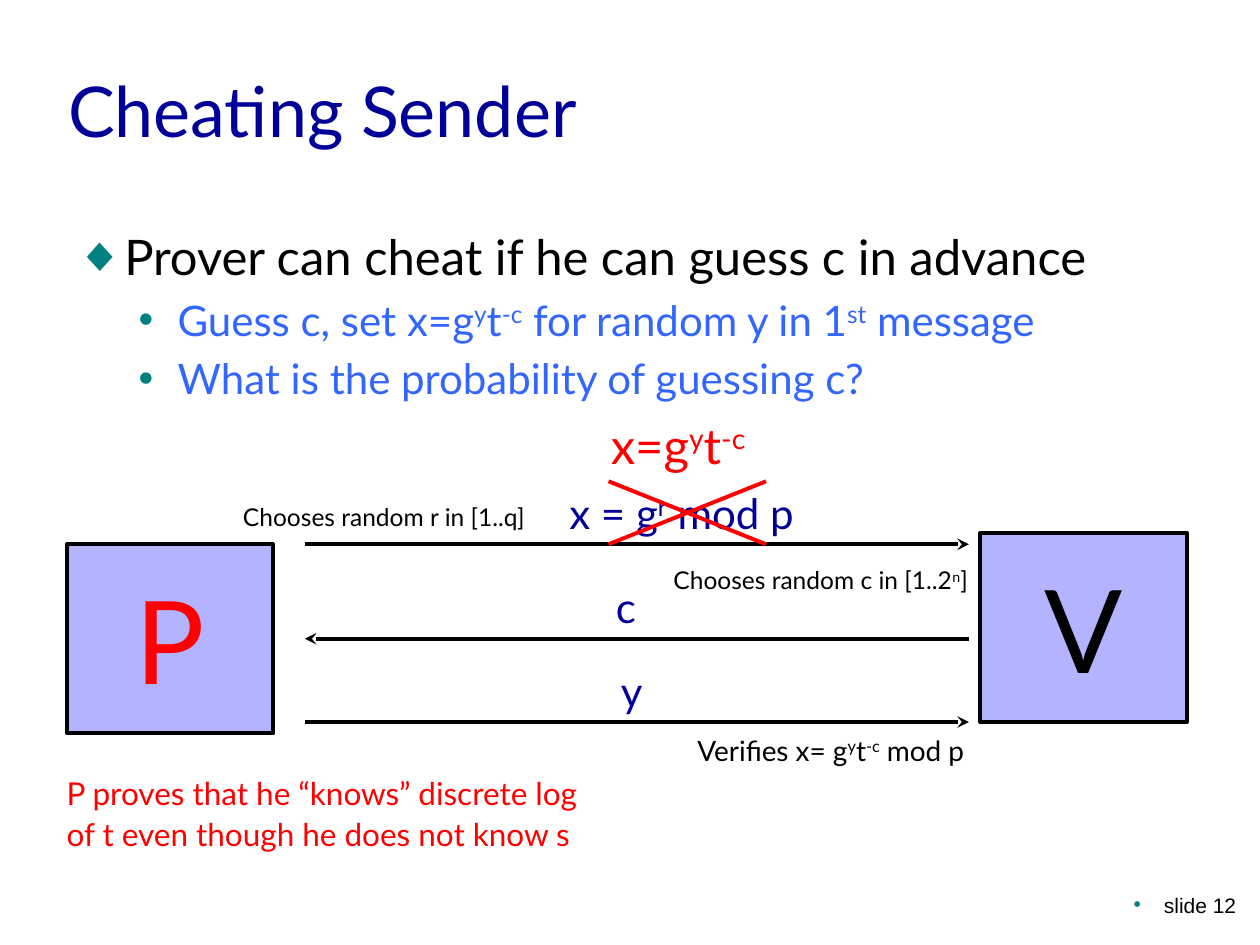
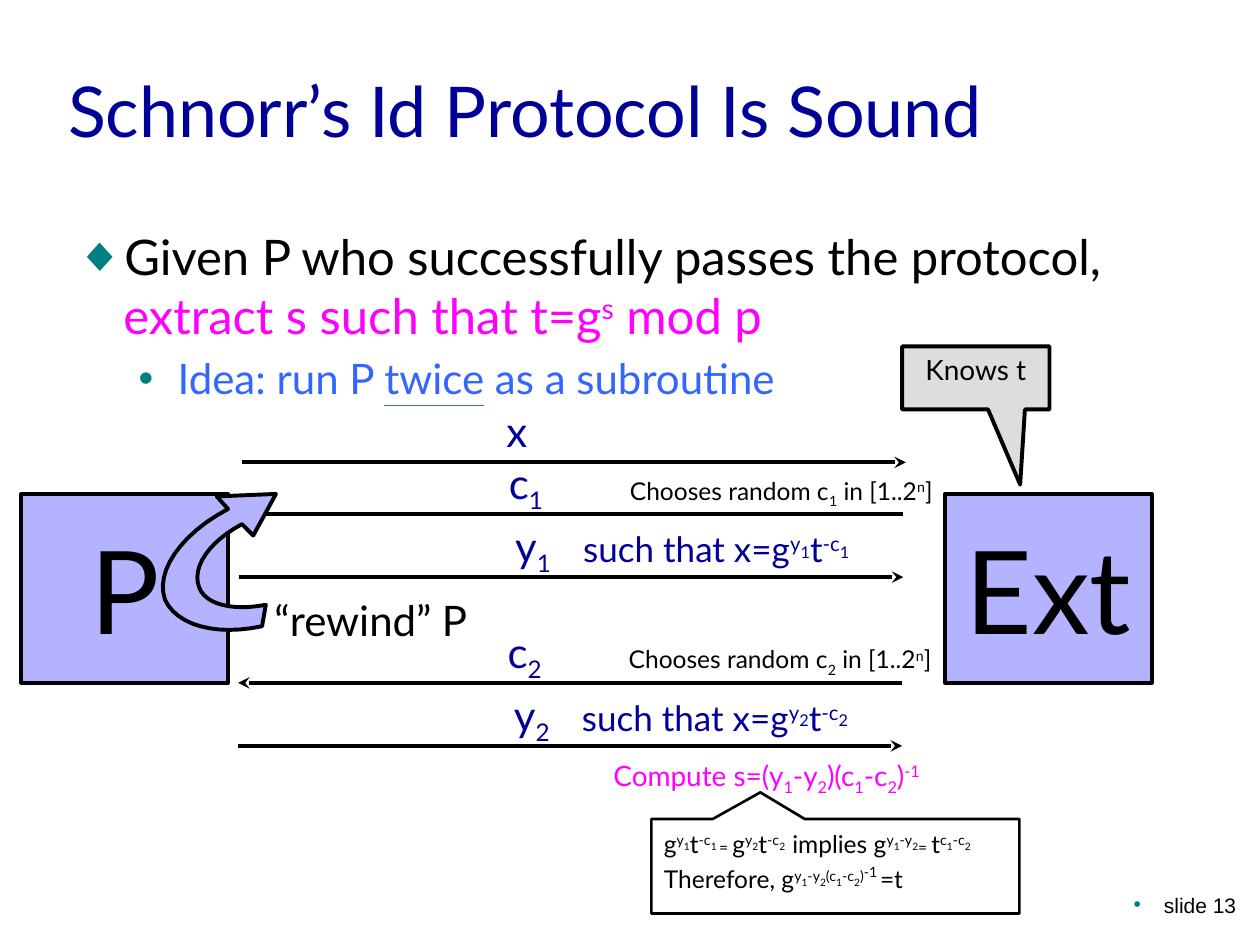
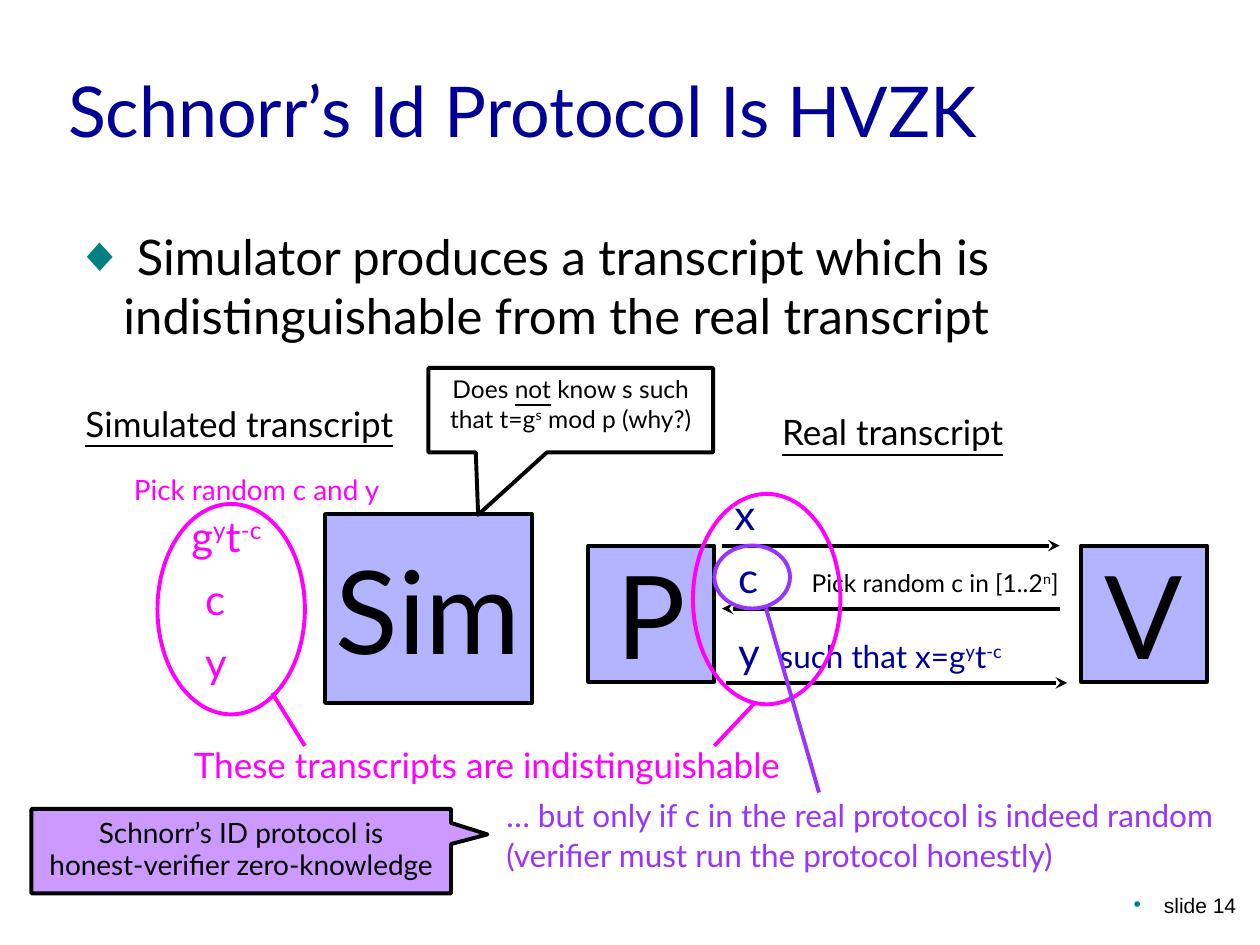
from dataclasses import dataclass

from lxml import etree
from pptx import Presentation
from pptx.dml.color import RGBColor
from pptx.enum.shapes import MSO_CONNECTOR as Connector, MSO_SHAPE as Shape
from pptx.enum.text import MSO_ANCHOR as Anchor, MSO_AUTO_SIZE as AutoSize, PP_ALIGN as Align
from pptx.oxml.ns import qn
from pptx.util import Inches, Pt


@dataclass(frozen=True)
class Theme:
    font: str = "Lato"
    footer_font: str = "Arial"
    navy: str = "000099"
    black: str = "000000"
    blue: str = "3366FF"
    teal: str = "008080"
    red: str = "FF0000"
    magenta: str = "FF00FF"
    violet: str = "9933FF"
    lilac: str = "CC99FF"
    lavender: str = "B3B3FF"
    grey: str = "DDDDDD"
    title: int = 40
    point: int = 28
    symbol: int = 24
    heading: int = 20
    remark: int = 18
    caption: int = 16
    note: int = 14
    footer: int = 12
    nested: int = 10
    tiny: int = 9
    actor: int = 66
    stroke: float = 2.25
    thin_stroke: float = 1.5


@dataclass(frozen=True)
class Box:
    left: float
    top: float
    width: float = 0
    height: float = 0

    def inset(self, left, top, width=0, height=0):
        return Box(self.left + left, self.top + top, width, height)

    def lengths(self):
        return [Inches(value) for value in (self.left, self.top, self.width, self.height)]


@dataclass(frozen=True)
class Piece:
    text: str
    base: int = 0
    size: int = None
    color: str = None
    underline: bool = False


THEME = Theme()
BODY_LEVELS = [
    (THEME.point, THEME.black, 0.38, 0.38, "◆"),
    (THEME.symbol, THEME.blue, 0.81, 0.31, "•"),
]


def sup(text, color=None):
    return Piece(text, 30, color=color)


def sub(text):
    return Piece(text, -25)


def nested(text, size=THEME.nested):
    return Piece(text, 15, size)


YTC = [sup("y"), "t", sup("-c")]


def rgb(color):
    return RGBColor.from_string(color)


def set_bullet(para, mark, margin, hang):
    props = para._p.get_or_add_pPr()
    props.set("marL", str(Inches(margin)))
    props.set("indent", str(-Inches(hang)))
    color = etree.SubElement(props, qn("a:buClr"))
    etree.SubElement(color, qn("a:srgbClr")).set("val", THEME.teal)
    etree.SubElement(props, qn("a:buFont")).set("typeface", THEME.footer_font)
    etree.SubElement(props, qn("a:buChar")).set("char", mark)


def set_tab(para, position):
    tabs = etree.SubElement(para._p.get_or_add_pPr(), qn("a:tabLst"))
    tab = etree.SubElement(tabs, qn("a:tab"))
    tab.set("pos", str(Inches(position)))
    tab.set("algn", "l")


def fill_para(para, pieces, size, color, font=THEME.font):
    para.font.name = font
    para.font.size = Pt(size)
    para.font.color.rgb = rgb(color)
    for piece in pieces:
        if isinstance(piece, str):
            piece = Piece(piece)
        span = para.add_run()
        span.text = piece.text
        if piece.size:
            span.font.size = Pt(piece.size)
        if piece.color:
            span.font.color.rgb = rgb(piece.color)
        if piece.underline:
            span.font.underline = True
        if piece.base:
            span._r.get_or_add_rPr().set("baseline", str(piece.base * 1000))


def paragraphs(frame, lines):
    for index, line in enumerate(lines):
        yield (frame.add_paragraph() if index else frame.paragraphs[0]), line, index > 0


def write(frame, lines, size, color, align=Align.LEFT, spacing=None, tab=None):
    for para, pieces, follows in paragraphs(frame, lines):
        para.alignment = align
        if spacing:
            para.line_spacing = spacing
        if follows:
            para.space_before = Pt(size * 0.2)
        if tab:
            set_tab(para, tab)
        fill_para(para, pieces, size, color)


def label(page, box, lines, size, color, spacing=None, tab=None):
    frame = page.shapes.add_textbox(*box.lengths()).text_frame
    frame.word_wrap = False
    frame.auto_size = AutoSize.SHAPE_TO_FIT_TEXT
    write(frame, lines, size, color, spacing=spacing, tab=tab)


def note(page, box, pieces, size=THEME.note, color=THEME.black, align=Align.RIGHT):
    frame = page.shapes.add_textbox(*box.lengths()).text_frame
    frame.word_wrap = True
    write(frame, [pieces], size, color, align, 0.8)


def paint(shape, fill=None, color=THEME.black, stroke=THEME.stroke):
    shape.shadow.inherit = False
    if fill:
        shape.fill.solid()
        shape.fill.fore_color.rgb = rgb(fill)
    else:
        shape.fill.background()
    shape.line.color.rgb = rgb(color)
    shape.line.width = Pt(stroke)


def actor(page, box, name, color=THEME.black):
    shape = page.shapes.add_shape(Shape.RECTANGLE, *box.lengths())
    paint(shape, THEME.lavender)
    frame = shape.text_frame
    frame.word_wrap = False
    frame.vertical_anchor = Anchor.MIDDLE
    write(frame, [[name]], THEME.actor, color, Align.CENTER)


def callout(page, box, tip, lines, size, fill=None, stroke=THEME.stroke, align=Align.CENTER):
    shape = page.shapes.add_shape(Shape.RECTANGULAR_CALLOUT, *box.lengths())
    shape.adjustments[0], shape.adjustments[1] = tip
    paint(shape, fill, stroke=stroke)
    frame = shape.text_frame
    frame.word_wrap = True
    frame.vertical_anchor = Anchor.TOP
    write(frame, lines, size, THEME.black, align)
    return frame


def ring(page, box, color):
    paint(page.shapes.add_shape(Shape.OVAL, *box.lengths()), color=color)


def line(page, start, end, color=THEME.black, arrow=False):
    ends = [Inches(value) for value in (start.left, start.top, end.left, end.top)]
    connector = page.shapes.add_connector(Connector.STRAIGHT, *ends)
    connector.line.color.rgb = rgb(color)
    connector.line.width = Pt(THEME.stroke)
    props = connector._element.spPr
    if arrow:
        etree.SubElement(props.find(qn("a:ln")), qn("a:tailEnd")).set("type", "stealth")
    etree.SubElement(props, qn("a:effectLst"))


def message(page, lane, offset, width, pieces, leftward=False, tab=None):
    ends = [lane, lane.inset(lane.width, 0)]
    if leftward:
        ends.reverse()
    line(page, *ends, arrow=True)
    label(page, lane.inset(offset, -0.5, width, 0.5), [pieces], THEME.symbol, THEME.navy, tab=tab)


def place(holder, box):
    holder.left, holder.top, holder.width, holder.height = box.lengths()
    holder.text_frame.auto_size = AutoSize.NONE
    return holder.text_frame


def start_page(deck, number, title, points):
    page = deck.slides.add_slide(deck.slide_layouts[1])
    frame = place(page.shapes.title, Box(0.44, 0.25, 8.5, 1))
    frame.vertical_anchor = Anchor.BOTTOM
    write(frame, [[title]], THEME.title, THEME.navy)

    frame = place(page.placeholders[1], Box(0.5, 1.75, 9.33, 1.92))
    for para, (level, pieces), follows in paragraphs(frame, points):
        size, color, margin, hang, mark = BODY_LEVELS[level]
        para.level = level
        para.space_before = Pt(size * 0.2 if follows else 0)
        set_bullet(para, mark, margin, hang)
        fill_para(para, pieces, size, color)

    frame = page.shapes.add_textbox(*Box(7.83, 6.83, 2.08, 0.5).lengths()).text_frame
    frame.word_wrap = True
    frame.vertical_anchor = Anchor.BOTTOM
    para = frame.paragraphs[0]
    para.alignment = Align.RIGHT
    set_bullet(para, "•", 0.24, 0.24)
    fill_para(para, [f"slide {number}"], THEME.footer, THEME.black, THEME.footer_font)
    return page


def cheating_exchange(page, box):
    actor(page, box.inset(0.03, 1.12, 1.64, 1.5), "P", THEME.red)
    actor(page, box.inset(7.28, 1.03, 1.64, 1.5), "V")
    message(page, box.inset(1.92, 1.12, 5.27), 2, 2.12, ["x = g", sup("r"), " mod p"])
    message(page, box.inset(1.92, 1.87, 5.27), 2.37, 0.46, ["c"], leftward=True)
    message(page, box.inset(1.92, 2.53, 5.27), 2.41, 0.37, ["y"])
    note(page, box.inset(4.17, 2.62, 3.08, 0.42), ["Verifies x= g", *YTC, " mod p"], THEME.caption)
    note(page, box.inset(1.33, 0.78, 2.58, 0.33), ["Chooses random r in [1..q]"], align=Align.LEFT)
    note(page, box.inset(4.53, 1.28, 2.75, 0.33), ["Chooses random c in [1..2", sup("n"), "]"])
    cross = box.inset(4.33, 0.62, 1.25, 0.5)
    line(page, cross, cross.inset(cross.width, cross.height), THEME.red)
    line(page, cross.inset(cross.width, 0), cross.inset(0, cross.height), THEME.red)
    label(page, box.inset(4.25, 0.05, 1.37, 0.57), [["x=g", *YTC]], THEME.point, THEME.red)
    claim = [["P proves that he “knows” discrete log"], ["of t even though he does not know s"]]
    label(page, box.inset(-0.07, 2.93, 4.34, 0.7), claim, THEME.remark, THEME.red, 0.9)


def challenge_round(page, box, index):
    message(page, box, 2.04, 0.48, ["c", sub(index)], leftward=True)
    note(page, box.inset(2.85, -0.33, 2.75, 0.33),
         ["Chooses random c", sub(index), " in [1..2", sup("n"), "]"])
    small = THEME.heading
    response = ["y", sub(index), Piece("\tsuch that x=g", size=small), Piece("y", 30, small),
                nested(index, THEME.caption), Piece("t", size=small), Piece("-c", 30, small),
                nested(index, THEME.caption)]
    message(page, box.inset(0, box.height, box.width), 2.09, 3.09, response, tab=0.54)


def curve(points, steps=12):
    for step in range(1, steps + 1):
        t = step / steps
        weights = ((1 - t) ** 3, 3 * t * (1 - t) ** 2, 3 * t * t * (1 - t), t ** 3)
        yield tuple(sum(w * point[axis] for w, point in zip(weights, points)) for axis in (0, 1))


def rewind_loop(page, box):
    strokes = [
        [(0.46, 0.4), (0.32, 0.6), (0.38, 0.76)],
        [(0.43, 0.9), (0.65, 0.95), (0.91, 0.9)],
        [(0.88, 1.07)],
        [(0.51, 1.15), (0.2, 1.06), (0.11, 0.86)],
        [(0.03, 0.64), (0.23, 0.34), (0.61, 0.14)],
        [(0.52, 0.04)],
        [(0.99, 0.02)],
        [(0.81, 0.35)],
    ]
    outline = [(0.72, 0.26)]
    for stroke in strokes:
        outline += curve([outline[-1], *stroke]) if len(stroke) == 3 else stroke
    corners = [(Inches(box.left + x), Inches(box.top + y)) for x, y in outline]
    builder = page.shapes.build_freeform(*corners[0])
    builder.add_line_segments(corners[1:], close=True)
    paint(builder.convert_to_shape(), THEME.lavender)
    label(page, box.inset(0.88, 0.77, 1.75, 0.5), [["“rewind” P"]], THEME.symbol, THEME.black)


def extraction(page, box):
    actor(page, box.inset(0.17, 1.42, 1.64, 1.5), "P")
    actor(page, box.inset(7.5, 1.42, 1.64, 1.5), "Ext")
    message(page, box.inset(1.92, 1.17, 5.27), 2, 0.37, ["x"])
    challenge_round(page, box.inset(1.9, 1.58, 5.27, 0.5), "1")
    challenge_round(page, box.inset(1.89, 2.92, 5.27, 0.5), "2")
    callout(page, box.inset(7.16, 0.25, 1.17, 0.5), (0.301, 1.694), [["Knows t"]],
            THEME.caption, THEME.grey)
    rewind_loop(page, box.inset(1.2, 1.4))
    secret = ["Compute s=(y", sub("1"), "-y", sub("2"), ")(c", sub("1"), "-c", sub("2"), ")", sup("-1")]
    label(page, box.inset(4.77, 3.47, 2.81, 0.37), [secret], THEME.caption, THEME.magenta)

    equals = Piece("= ", size=THEME.tiny)
    y_difference = [sup("y"), nested("1"), sup("-y"), nested("2")]
    implication = [
        "g", sup("y"), nested("1"), "t", sup("-c"), nested("1 "), equals,
        "g", sup("y"), nested("2"), "t", sup("-c"), nested("2"), Piece(" ", size=THEME.caption),
        "implies g", *y_difference, equals,
        "t", sup("c"), nested("1"), sup("-c"), nested("2"),
    ]
    conclusion = ["Therefore, g", *y_difference, sup("(c"), nested("1"), sup("-c"), nested("2"),
                  sup(")"), Piece("-1", 45), nested(" "), "=t"]
    callout(page, box.inset(5.17, 4, 2.92, 0.75), (-0.204, -0.782), [implication, conclusion],
            THEME.note, stroke=THEME.thin_stroke, align=Align.LEFT)


def heading(page, box, text):
    label(page, box, [[Piece(text, underline=True)]], THEME.heading, THEME.black, 0.9)


def simulated_transcript(page, box):
    heading(page, box.inset(0.08, 0.28, 2.65, 0.4), "Simulated transcript")
    note(page, box.inset(0.33, 0.85, 2.28, 0.33), ["Pick random c and y"], THEME.caption, THEME.magenta)
    entries = [(0.92, 0.79, ["g", *YTC]), (1.03, 0.46, ["c"]), (1.03, 0.37, ["y"])]
    for row, (left, width, pieces) in enumerate(entries):
        label(page, box.inset(left, 1.1 + 0.5 * row, width, 0.5), [pieces], THEME.symbol, THEME.magenta)
    actor(page, box.inset(2.08, 1.18, 1.64, 1.5), "Sim")
    question = ["Does ", Piece("not", underline=True), " know s such that t=g", sup("s"), " mod p (why?)"]
    callout(page, box.inset(2.9, 0.02, 2.26, 0.67), (-0.325, 1.24), [question], THEME.note)


def real_transcript(page, box):
    heading(page, box.inset(1.44, 0, 1.97, 0.4), "Real transcript")
    actor(page, box.inset(0, 1.08, 1, 1.08), "P")
    actor(page, box.inset(3.91, 1.08, 1, 1.08), "V")
    message(page, box.inset(1.06, 1.08, 2.68), 0, 0.37, ["x"])
    message(page, box.inset(1.06, 1.58, 2.68), 0.03, 0.46, ["c"], leftward=True)
    note(page, box.inset(1.55, 1.25, 2.28, 0.33), ["Pick random c in [1..2", sup("n"), "]"])
    small = THEME.remark
    response = ["y", Piece("\tsuch that x=g", size=small), Piece("y", 30, small),
                Piece("t", size=small), Piece("-c", 30, small)]
    message(page, box.inset(1.09, 2.17, 2.71), 0, 2.48, response, tab=0.33)


def comparison(page, box):
    ring(page, box.inset(1.25, 0.1, 1.17, 1.67), THEME.magenta)
    ring(page, box.inset(5.5, 0.02, 1.17, 1.67), THEME.magenta)
    line(page, box.inset(2.16, 1.6), box.inset(2.42, 2.02), THEME.magenta)
    line(page, box.inset(5.99, 1.68), box.inset(5.67, 2.02), THEME.magenta)
    label(page, box.inset(1.44, 1.99, 4.9, 0.4), [["These transcripts are indistinguishable"]],
          THEME.heading, THEME.magenta, 0.9)
    ring(page, box.inset(5.67, 0.43, 0.6, 0.5), THEME.violet)
    line(page, box.inset(6.08, 0.93), box.inset(6.5, 2.39), THEME.violet)
    caveat = [["… but only if c in the real protocol is indeed random"],
              ["(verifier must run the protocol honestly)"]]
    label(page, box.inset(3.92, 2.4, 5.94, 0.7), caveat, THEME.remark, THEME.violet, 0.9)
    verdict = [["Schnorr’s ID protocol is"], ["honest-verifier zero-knowledge"]]
    frame = callout(page, box.inset(0.25, 2.52, 3.33, 0.67), (0.587, -0.198), verdict,
                    THEME.caption, THEME.lilac)
    frame.paragraphs[1].line_spacing = 0.8


def main():
    deck = Presentation()
    deck.slide_width, deck.slide_height = Inches(10), Inches(7.5)

    page = start_page(deck, 12, "Cheating Sender", [
        (0, ["Prover can cheat if he can guess c in advance"]),
        (1, ["Guess c, set x=g", *YTC, " for random y in 1", sup("st"), " message"]),
        (1, ["What is the probability of guessing c?"]),
    ])
    cheating_exchange(page, Box(0.5, 3.2, 9, 3.7))

    goal = THEME.magenta
    page = start_page(deck, 13, "Schnorr’s Id Protocol Is Sound", [
        (0, ["Given P who successfully passes the protocol, ", Piece("extract s such that t=g", color=goal),
             sup("s", goal), Piece(" mod p", color=goal)]),
        (1, ["Idea: run P ", Piece("twice", underline=True), " as a subroutine"]),
    ])
    extraction(page, Box(0, 2.5, 10, 4.75))

    page = start_page(deck, 14, "Schnorr’s Id Protocol Is HVZK", [
        (0, [" Simulator produces a transcript which is indistinguishable from the real transcript"]),
    ])
    simulated_transcript(page, Box(0.5, 2.9, 5.2, 2.7))
    real_transcript(page, Box(4.67, 3.25, 4.91, 2.2))
    comparison(page, Box(0, 3.9, 10, 3.2))

    deck.save("out.pptx")


if __name__ == "__main__":
    main()
